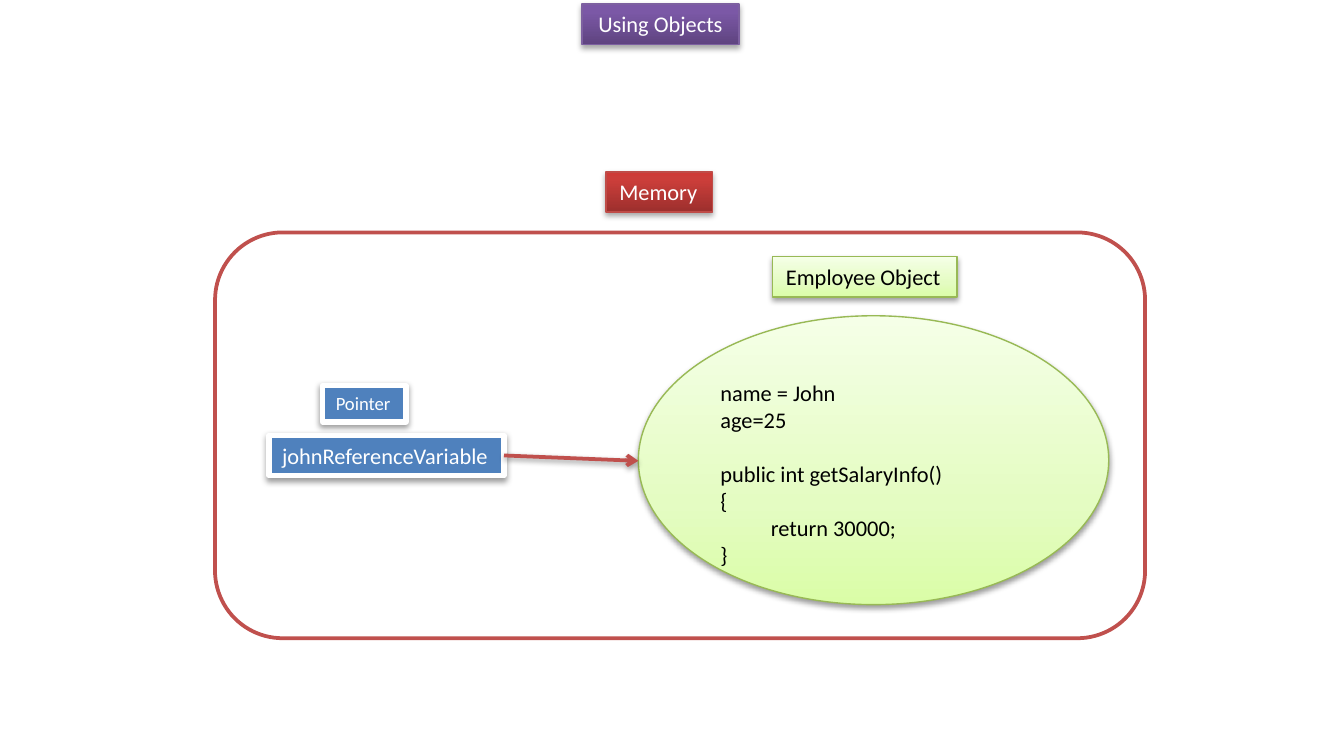
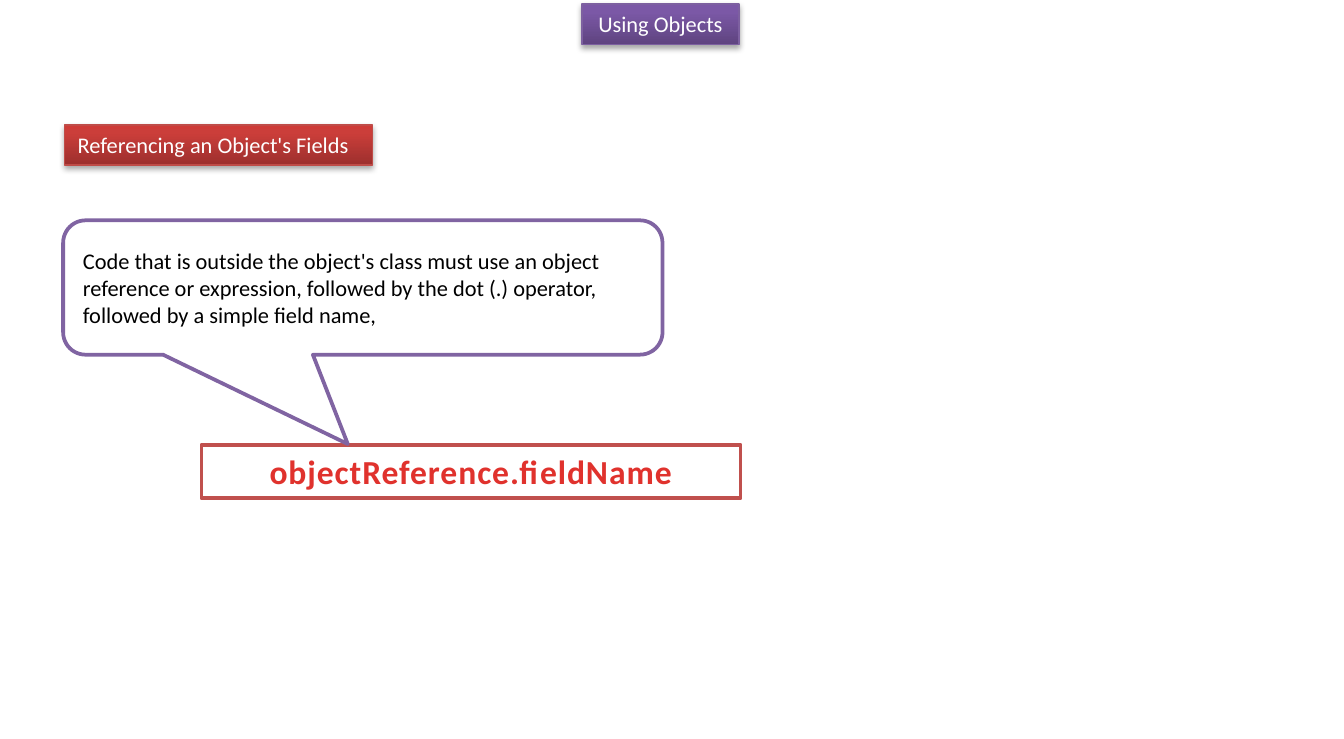
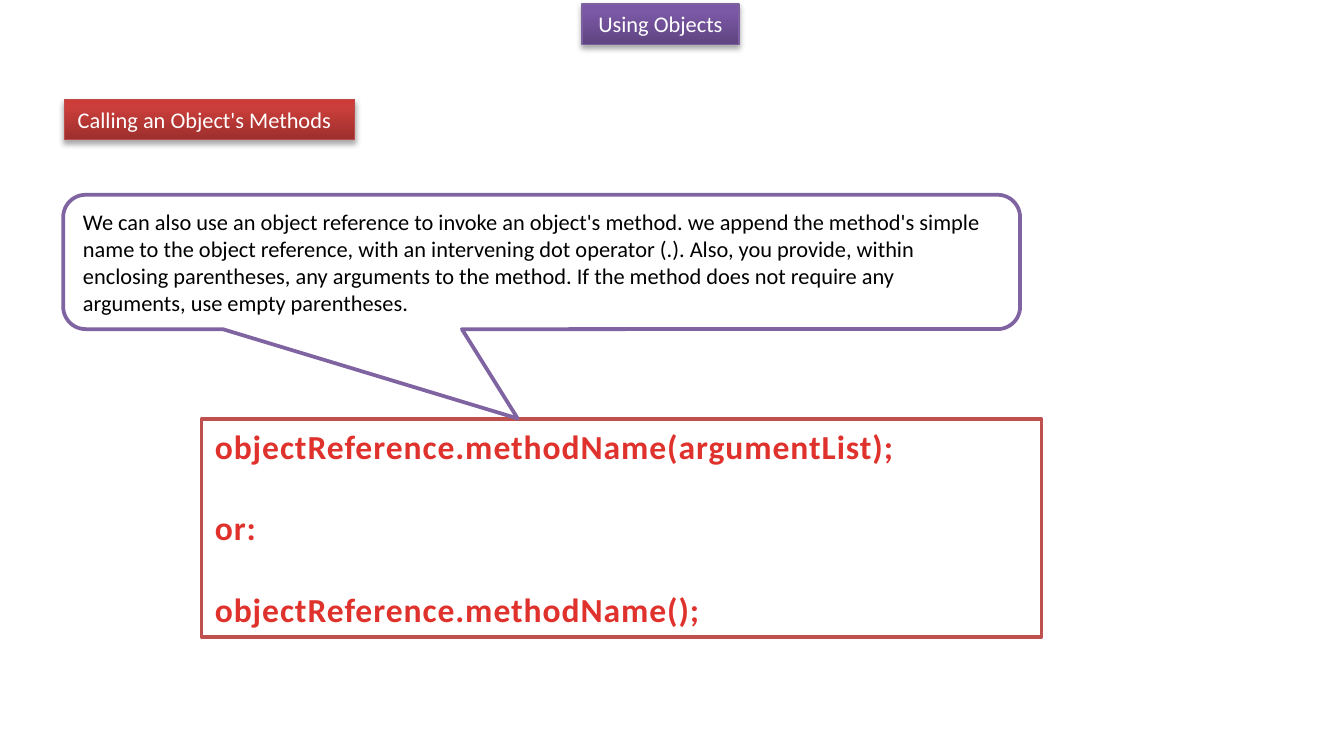
"""Build three slides on using objects: memory, fields and methods."""
from lxml import etree
from pptx import Presentation
from pptx.dml.color import RGBColor
from pptx.enum.shapes import MSO_CONNECTOR as LINE, MSO_SHAPE as SHAPE
from pptx.enum.text import MSO_ANCHOR as ANCHOR, PP_ALIGN as ALIGN
from pptx.oxml import parse_xml
from pptx.oxml.ns import nsdecls, qn
from pptx.util import Inches, Pt

CELL = 0.1
COLS, ROWS = 100, 55
FONT = "Calibri"
LINE_HEIGHT = 1.22

COLORS = {
    "white": "FFFFFF",
    "black": "000000",
    "blue": "4F81BD",
    "red": "C0504D",
    "red_edge": "BF4C48",
    "purple": "8064A2",
    "purple_edge": "7D60A0",
    "green_edge": "98B955",
    "code": "E0322D",
}
GRADIENTS = {
    "purple_fade": ((0, "5F4480"), (80, "7B58A6"), (100, "7C57A8")),
    "red_fade": ((0, "9C2F2D"), (80, "CB3E3A"), (100, "CE3B37")),
    "green_fade": ((0, "DAFDA7"), (35, "E4FCC2"), (100, "F5FFE7")),
}
STRONG = (35, 1.8)
SOFT = (38, 1.6)

TITLE = ("purple_fade", "purple_edge", 0.75, STRONG, "white")
HEADING = ("red_fade", "red_edge", 0.75, STRONG, "white")
OBJECT = ("green_fade", "green_edge", 0.75, SOFT, "black")
VARIABLE = ("blue", "white", 3, SOFT, "white")
FRAME = ("white", "red", 2, None, "code")
CALLOUT = ("white", "purple", 2, None, "black")

EMPLOYEE = ["name = John", "age=25", "", "public int getSalaryInfo()", "{",
            "          return 30000;", "}"]
FIELD_NOTE = ("Code that is outside the object's class must use an object reference "
              "or expression, followed by the dot (.) operator, followed by a simple "
              "field name,")
METHOD_NOTE = ("We can also use an object reference to invoke an object's method. "
               "we append the method's simple name to the object reference, with an "
               "intervening dot operator (.). Also, you provide, within enclosing "
               "parentheses, any arguments to the method. If the method does not "
               "require any arguments, use empty parentheses.")
METHOD_CODE = ["objectReference.methodName(argumentList);", "", "or:", "",
               "objectReference.methodName();"]


def grid(*cells):
    """Turn grid cells into slide lengths."""
    return [Inches(CELL * c) for c in cells]


def rgb(name):
    """Look up a named colour."""
    return RGBColor.from_string(COLORS[name])


def fill_shape(sp, name):
    """Fill a shape with a plain colour or an upward gradient."""
    if name in COLORS:
        sp.fill.solid()
        sp.fill.fore_color.rgb = rgb(name)
        return
    sp.fill.gradient()
    stops = "".join(f'<a:gs pos="{pos * 1000}"><a:srgbClr val="{color}"/></a:gs>'
                    for pos, color in GRADIENTS[name])
    spPr = sp._element.spPr
    spPr.replace(spPr.find(qn("a:gradFill")), parse_xml(
        f'<a:gradFill {nsdecls("a")} rotWithShape="1"><a:gsLst>{stops}</a:gsLst>'
        '<a:lin ang="16200000" scaled="0"/></a:gradFill>'))


def cast_shadow(effects, shadow):
    """Add a downward shadow to an effect list."""
    alpha, dist = shadow
    effects.append(parse_xml(
        f'<a:outerShdw {nsdecls("a")} blurRad="{Pt(3.1)}" dist="{Pt(dist)}" '
        'dir="5400000" rotWithShape="0"><a:srgbClr val="000000">'
        f'<a:alpha val="{alpha * 1000}"/></a:srgbClr></a:outerShdw>'))


def add_box(s, kind, at, style):
    """Draw a styled preset shape on the grid."""
    fill, line, weight, shadow, _ = style
    sp = s.shapes.add_shape(kind, *grid(*at))
    fill_shape(sp, fill)
    sp.line.color.rgb = rgb(line)
    sp.line.width = Pt(weight)
    sp.shadow.inherit = False
    if shadow:
        cast_shadow(sp._element.spPr.find(qn("a:effectLst")), shadow)
    return sp


def write(sp, lines, color, size=12, align=ALIGN.LEFT, anchor=ANCHOR.TOP, code=False):
    """Write lines into a shape, with an empty line as a gap before the next."""
    tf = sp.text_frame
    tf.word_wrap = True
    tf.vertical_anchor = anchor
    gap = 0
    p = tf.paragraphs[0]
    for i, text in enumerate(lines):
        if not text:
            gap += size * LINE_HEIGHT
            continue
        if i:
            p = tf.add_paragraph()
        p.alignment = align
        if gap:
            p.space_before = Pt(round(gap, 1))
        gap = 0
        r = p.add_run()
        r.text = text
        r.font.name, r.font.size, r.font.bold = FONT, Pt(size), code
        r.font.color.rgb = rgb(color)
        if code:
            r._r.get_or_add_rPr().set("spc", "50")
    return tf


def add_label(s, text, at, style, size=12):
    """Draw a one-line label."""
    sp = add_box(s, SHAPE.RECTANGLE, at, style)
    write(sp, [text], style[-1], size).margin_right = 0
    return sp


def add_arrow(s, source, end):
    """Draw an arrow from the right side of a box to a grid point."""
    cxn = s.shapes.add_connector(LINE.STRAIGHT, 0, 0, *grid(*end))
    cxn.begin_connect(source, 3)
    cxn.line.color.rgb = rgb("red")
    cxn.line.width = Pt(2)
    etree.SubElement(cxn.line._get_or_add_ln(), qn("a:tailEnd"), type="arrow")
    cast_shadow(etree.SubElement(cxn._element.spPr, qn("a:effectLst")), SOFT)


def new_slide(prs):
    """Add a blank slide with the shared title."""
    s = prs.slides.add_slide(prs.slide_layouts[6])
    title = add_box(s, SHAPE.RECTANGLE, (43.3, 0.3, 11.7, 3), TITLE)
    write(title, ["Using Objects"], "white", align=ALIGN.CENTER)
    return s


def memory_slide(prs):
    """Show a reference variable pointing at an object in memory."""
    s = new_slide(prs)
    add_box(s, SHAPE.ROUNDED_RECTANGLE, (16, 17.3, 69.2, 30.2), FRAME)
    employee = add_box(s, SHAPE.OVAL, (47.5, 23.5, 35, 21.5), OBJECT)
    tf = write(employee, EMPLOYEE, "black", anchor=ANCHOR.MIDDLE)
    tf.margin_top = Inches(0.25)
    variable = add_label(s, "johnReferenceVariable", (20, 32.4, 17.5, 3), VARIABLE)
    add_arrow(s, variable, (47.5, 34.3))
    add_label(s, "Pointer", (24, 28.7, 6.2, 2.7), VARIABLE, size=10)
    add_label(s, "Memory", (45.1, 12.8, 7.9, 3), HEADING)
    add_label(s, "Employee Object", (57.5, 19.1, 13.7, 3), OBJECT)


def syntax_slide(prs, row, heading, heading_cols, note, note_cols, code, code_size, align):
    """Show a heading, a callout and the code it points at, stacked from a row."""
    s = new_slide(prs)
    frame = add_box(s, SHAPE.RECTANGLE, (15, row + 23.8, *code_size), FRAME)
    write(frame, code, "code", 18, align, code=True)
    callout = add_box(s, SHAPE.ROUNDED_RECTANGULAR_CALLOUT,
                      (4.7, row + 7.1, note_cols, 10), CALLOUT)
    for i, value in enumerate((-0.025, 1.165, 0.167)):
        callout.adjustments[i] = value
    write(callout, [note], "black", anchor=ANCHOR.MIDDLE)
    add_label(s, heading, (4.8, row, heading_cols, 3), HEADING)


def main():
    """Build and save the deck."""
    prs = Presentation()
    prs.slide_width, prs.slide_height = grid(COLS, ROWS)
    memory_slide(prs)
    syntax_slide(prs, 9.3, "Referencing an Object's Fields", 22.9, FIELD_NOTE, 44.6,
                 ["objectReference.fieldName"], (40.1, 4), ALIGN.CENTER)
    syntax_slide(prs, 7.4, "Calling an Object's Methods", 21.6, METHOD_NOTE, 71.2,
                 METHOD_CODE, (62.5, 16.2), ALIGN.LEFT)
    prs.save("out.pptx")


if __name__ == "__main__":
    main()
